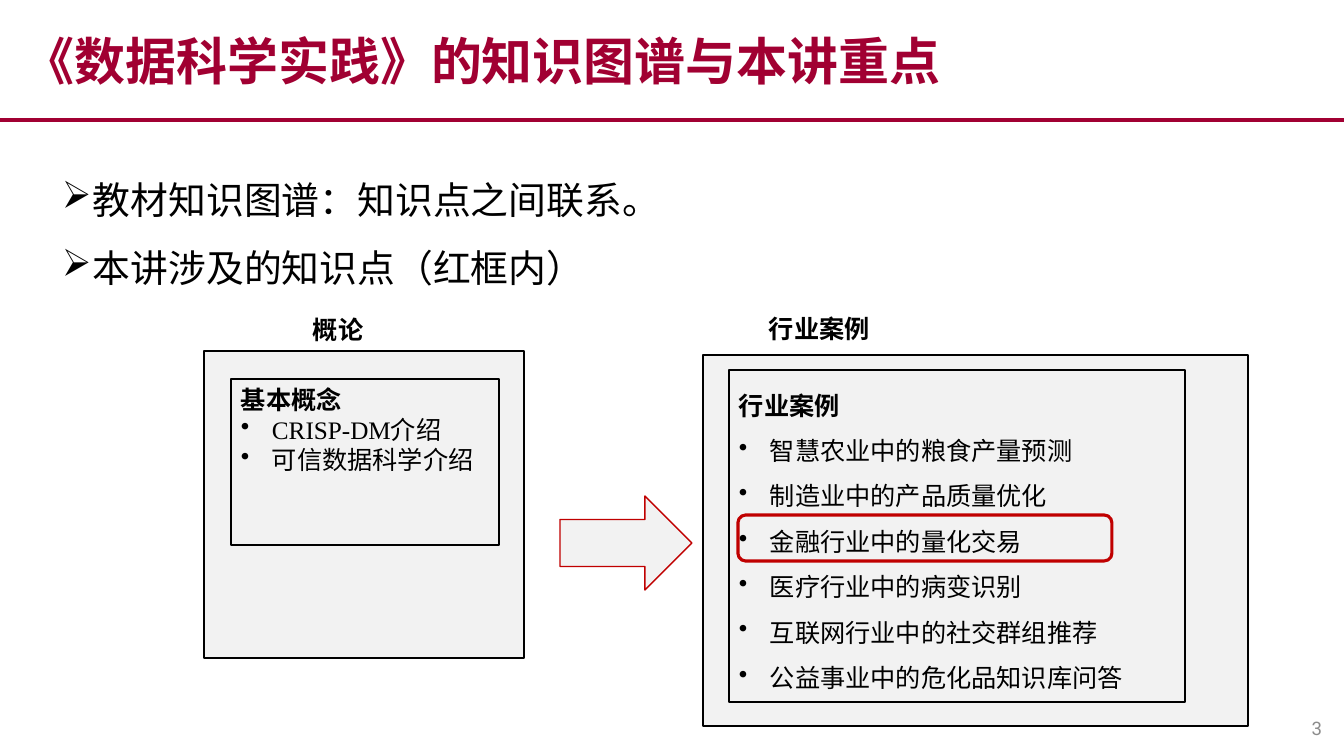
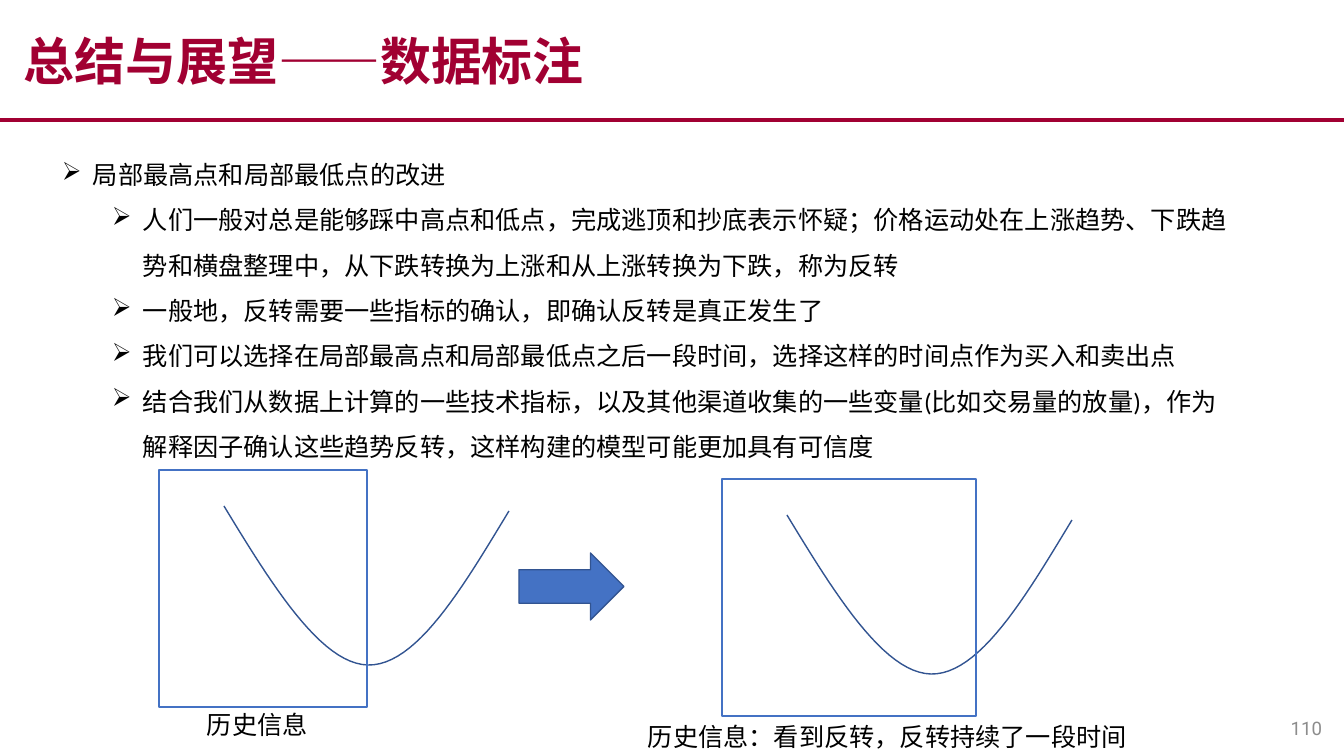
from lxml import etree
from pptx import Presentation
from pptx.dml.color import RGBColor
from pptx.enum.shapes import MSO_CONNECTOR, MSO_SHAPE
from pptx.enum.text import MSO_ANCHOR, PP_ALIGN
from pptx.oxml.ns import qn
from pptx.util import Pt

LINE = MSO_CONNECTOR.STRAIGHT
RECT, ROUND = MSO_SHAPE.RECTANGLE, MSO_SHAPE.ROUNDED_RECTANGLE
ARROW = MSO_SHAPE.RIGHT_ARROW
TOP, MID = MSO_ANCHOR.TOP, MSO_ANCHOR.MIDDLE
LEFT, RIGHT, JUST = PP_ALIGN.LEFT, PP_ALIGN.RIGHT, PP_ALIGN.JUSTIFY

WINE = RGBColor(0xA1, 0x00, 0x32)
RED = RGBColor(0xC0, 0x00, 0x00)
BLACK = RGBColor(0x00, 0x00, 0x00)
GREY = RGBColor(0x8C, 0x8C, 0x8C)
PALE = RGBColor(0xF2, 0xF2, 0xF2)
BLUE = RGBColor(0x44, 0x72, 0xC4)
NAVY = RGBColor(0x32, 0x54, 0x91)

SANS, SERIF = "Noto Sans CJK SC", "Times New Roman"
BODY, DIGIT = "Calibri", "Roboto"
WIDE, HIGH = 1344, 756
INDENT, STEP = 31, 50


def px(n):
    return round(n * 914400 / 100.8)


def style(par, face, size, color=BLACK, bold=False, align=LEFT,
          space=None, mark=None, level=0):
    """Format one paragraph, with an optional bullet mark."""
    props = par._p.get_or_add_pPr()
    if mark:
        props.set("marL", str(px(INDENT + STEP * level)))
        props.set("indent", str(-px(INDENT)))
        etree.SubElement(props, qn("a:buChar"), char=mark)
    par.level = level
    par.alignment = align
    if space:
        par.line_spacing = space
    font = par.font
    font.name, font.size, font.bold = face, Pt(size), bold
    font.color.rgb = color
    east = SANS if face == SANS else BODY
    etree.SubElement(props.find(qn("a:defRPr")), qn("a:ea"), typeface=east)


def write(frame, rows, anchor=TOP, wrap=True):
    """Fill a frame with rows of (text, style options)."""
    frame.word_wrap = wrap
    frame.vertical_anchor = anchor
    for i, (text, look) in enumerate(rows):
        par = frame.paragraphs[0] if i == 0 else frame.add_paragraph()
        par.text = text
        style(par, **look)


def label(slide, box, rows, anchor=TOP, wrap=True):
    shape = slide.shapes.add_textbox(*map(px, box))
    write(shape.text_frame, rows, anchor, wrap)
    return shape


def paint(shape, fill, line, width=1):
    shape.shadow.inherit = False
    if fill is None:
        shape.fill.background()
    else:
        shape.fill.solid()
        shape.fill.fore_color.rgb = fill
    shape.line.color.rgb = line
    shape.line.width = Pt(width)


def block(slide, kind, box, fill, line, width=1):
    shape = slide.shapes.add_shape(kind, *map(px, box))
    paint(shape, fill, line, width)
    return shape


def base(deck, title, number):
    """Blank slide with title, rule and page number."""
    slide = deck.slides.add_slide(deck.slide_layouts[6])
    rule = slide.shapes.add_connector(LINE, 0, px(120), px(WIDE), px(120))
    rule.line.color.rgb = WINE
    rule.line.width = Pt(2.25)
    etree.SubElement(rule._element.spPr, qn("a:effectLst"))
    label(slide, (1019, 708, 313, 40),
          [(number, dict(face=DIGIT, size=13.3, color=GREY, align=RIGHT))], MID)
    head = label(slide, (11, -3, 1198, 126),
                 [(title, dict(face=SANS, size=36.4, color=WINE, bold=True))], MID)
    frame = head.text_frame
    frame.margin_left = frame.margin_right = px(13)
    frame.margin_top = frame.margin_bottom = px(7)
    return slide


def points(slide, box, rows, face, size):
    """Arrow-marked list of (level, text) rows."""
    label(slide, box, [
        (text, dict(face=face, size=size, space=1.5, mark="➢", level=level))
        for level, text in rows])


def panel(slide, box, name, tag, inner, head, items, space=None):
    """Framed topic; tag and inner boxes are relative to the panel."""
    x, y = box[:2]

    def shift(part):
        return (x + part[0], y + part[1], *part[2:])

    look = dict(face=SERIF, size=18, align=JUST)
    block(slide, RECT, box, PALE, BLACK)
    label(slide, shift(tag), [(name, dict(look, bold=True, space=1.5))], wrap=False)
    card = block(slide, RECT, shift(inner), PALE, BLACK)
    rows = [(head, dict(look, bold=True, space=space))]
    rows += [(item, dict(look, space=space, mark="•")) for item in items]
    write(card.text_frame, rows)


def bend(a, b, c, d, steps=24):
    """Points along a cubic curve, without its start."""
    for i in range(1, steps + 1):
        t = i / steps
        u = 1 - t
        yield tuple(u**3 * p + 3 * u * u * t * q + 3 * u * t * t * r + t**3 * s
                    for p, q, r, s in zip(a, b, c, d))


def trend(slide, box, text, tag):
    """Valley curve with its history window and caption."""
    x, y = box[:2]
    low = (144, 159)
    path = [*bend((0, 0), (48, 79), (97, 158), low),
            *bend(low, (192, 160), (238, 83), (285, 5))]
    left, top = x + 65, y + 36
    pen = slide.shapes.build_freeform(px(left), px(top), scale=1.0)
    pen.add_line_segments([(px(left + h), px(top + v)) for h, v in path], close=False)
    paint(pen.convert_to_shape(), None, NAVY)
    block(slide, RECT, box, None, BLUE)
    label(slide, (x + tag[0], y + tag[1], *tag[2:]),
          [(text, dict(face=BODY, size=18))], wrap=False)


def topics(deck):
    slide = base(deck, "《数据科学实践》的知识图谱与本讲重点", "3")
    points(slide, (52, 149, 1194, 147),
           [(0, "教材知识图谱：知识点之间联系。"),
            (0, "本讲涉及的知识点（红框内）")], SERIF, 27)
    panel(slide, (204, 351, 320, 307), "概论", (99, -57, 72, 56),
          (27, 28, 268, 166), "基本概念",
          ["CRISP-DM介绍", "可信数据科学介绍"])
    panel(slide, (703, 355, 545, 371), "行业案例", (56, -62, 123, 56),
          (26, 15, 456, 332), "行业案例",
          ["智慧农业中的粮食产量预测", "制造业中的产品质量优化",
           "金融行业中的量化交易", "医疗行业中的病变识别",
           "互联网行业中的社交群组推荐", "公益事业中的危化品知识库问答"], 1.5)
    block(slide, ARROW, (560, 496, 132, 94), PALE, RED)
    block(slide, ROUND, (738, 515, 374, 46), None, RED, 2.25)


def outlook(deck):
    slide = base(deck, "总结与展望——数据标注", "110")
    points(slide, (52, 139, 1194, 331), [
        (0, "局部最高点和局部最低点的改进"),
        (1, "人们一般对总是能够踩中高点和低点，完成逃顶和抄底表示怀疑；"
            "价格运动处在上涨趋势、下跌趋势和横盘整理中，"
            "从下跌转换为上涨和从上涨转换为下跌，称为反转"),
        (1, "一般地，反转需要一些指标的确认，即确认反转是真正发生了"),
        (1, "我们可以选择在局部最高点和局部最低点之后一段时间，"
            "选择这样的时间点作为买入和卖出点"),
        (1, "结合我们从数据上计算的一些技术指标，"
            "以及其他渠道收集的一些变量(比如交易量的放量)，"
            "作为解释因子确认这些趋势反转，这样构建的模型可能更加具有可信度"),
    ], BODY, 18)
    trend(slide, (159, 470, 208, 237), "历史信息", (38, 234, 122, 40))
    trend(slide, (722, 479, 254, 237), "历史信息：看到反转，反转持续了一段时间",
          (-84, 237, 504, 40))
    block(slide, ARROW, (519, 553, 105, 67), BLUE, NAVY)


def main():
    deck = Presentation()
    deck.slide_width, deck.slide_height = px(WIDE), px(HIGH)
    topics(deck)
    outlook(deck)
    deck.save("out.pptx")


if __name__ == "__main__":
    main()
